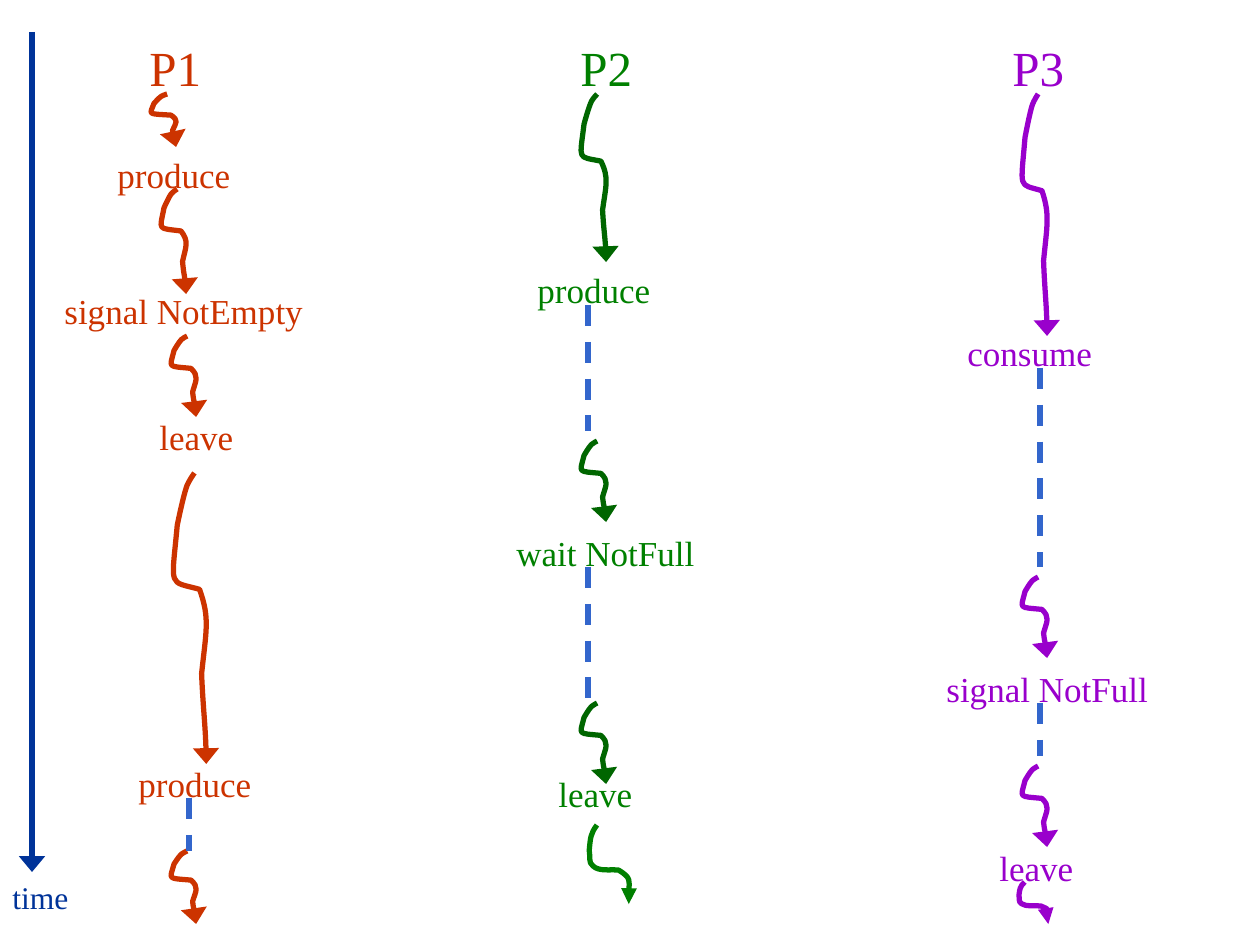
"""Builds a timeline of three processes sharing a monitor."""
from dataclasses import dataclass

from lxml import etree
from pptx import Presentation
from pptx import util as u
from pptx.dml import color
from pptx.enum import dml, shapes, text
from pptx.oxml import ns

SCALE = u.Inches(1) / 126
SQUIGGLE = [(63, 0), (58, 1), (51, 2.5), (45, 4.4), (36, 8), (22, 18), (22, 18), (8, 40), (0, 37),
            (75, 40), (100, 50), (91, 54), (80, 69), (83, 80), (91, 89), (91, 100)]
HOOK = [(21, 0), (6, 11), (6, 16), (3, 32), (6, 38), (0, 48), (12, 52),
        (26, 59), (50, 56), (71, 57), (102, 67), (95, 79), (95, 100)]


@dataclass(frozen=True)
class Theme:
    font: str = "Times New Roman"
    heading: int = 28
    label: int = 20
    axis: int = 18
    stroke: int = 3
    time: str = "003399"
    waiting: str = "3366CC"
    red: str = "CC3300"
    green: str = "008000"
    dark_green: str = "006600"
    purple: str = "9900CC"


THEME = Theme()


def px(value):
    return u.Emu(round(value * SCALE))


def write(frame, words, *, size, tint):
    span = frame.paragraphs[0].add_run()
    span.text = words
    span.font.name = THEME.font
    span.font.size = u.Pt(size)
    span.font.color.rgb = color.RGBColor.from_string(tint)


class Sketch:
    """Draws styled elements on the current slide."""

    def __init__(self, slide):
        self.slide = slide

    def label(self, words, left, top, width, height=55, size=THEME.label, tint=THEME.time):
        box = self.slide.shapes.add_textbox(px(left), px(top), px(width), px(height))
        box.text_frame.word_wrap = False
        box.text_frame.auto_size = text.MSO_AUTO_SIZE.SHAPE_TO_FIT_TEXT
        write(box.text_frame, words, size=size, tint=tint)

    def stroke(self, shape, tint, head=None):
        shape.line.width = u.Pt(THEME.stroke)
        shape.line.color.rgb = color.RGBColor.from_string(tint)
        if head:
            etree.SubElement(shape.line._get_or_add_ln(), ns.qn("a:tailEnd"),
                             type="triangle", w=head, len="med")

    def line(self, x, top, bottom, tint, head=None, dashed=False):
        link = self.slide.shapes.add_connector(
            shapes.MSO_CONNECTOR.STRAIGHT, px(x), px(top), px(x), px(bottom))
        self.stroke(link, tint, head)
        if dashed:
            link.line.dash_style = dml.MSO_LINE.DASH
        etree.SubElement(link._element.spPr, ns.qn("a:effectLst"))

    def curve(self, outline, left, top, width, height, tint, head="lg"):
        points = [(px(left + x * width / 100), px(top + y * height / 100)) for x, y in outline]
        builder = self.slide.shapes.build_freeform(*points[0])
        builder.add_line_segments(points[1:], close=False)
        shape = builder.convert_to_shape()
        route = shape._element.find(".//" + ns.qn("a:path"))
        segments = route.findall(ns.qn("a:lnTo"))
        for start in range(0, len(segments), 3):
            bend = etree.SubElement(route, ns.qn("a:cubicBezTo"))
            for segment in segments[start:start + 3]:
                bend.append(segment[0])
                route.remove(segment)
        shape.fill.background()
        shape.shadow.inherit = False
        self.stroke(shape, tint, head)


PROCESSES = [
    dict(name="P1", left=137, tint=THEME.red, arrow=THEME.red,
         labels=[("produce", 105, 147, 142), ("signal NotEmpty", 52, 283, 268),
                 ("leave", 147, 409, 103), ("produce", 126, 756, 142)],
         squiggles=[(147, 94, 32, 53), (157, 189, 32, 105), (167, 336, 32, 81),
                    (168, 473, 42, 291), (167, 851, 32, 73)],
         wait_x=189, waits=[(798, 851)], hooks=[]),
    dict(name="P2", left=568, tint=THEME.green, arrow=THEME.dark_green,
         labels=[("produce", 525, 262, 142), ("wait NotFull", 504, 525, 208),
                 ("leave", 546, 766, 103)],
         squiggles=[(577, 94, 32, 168), (577, 441, 32, 81), (577, 703, 32, 81)],
         wait_x=588, waits=[(305, 431), (567, 703)], hooks=[(588, 825, 43, 79)]),
    dict(name="P3", left=1000, tint=THEME.purple, arrow=THEME.purple,
         labels=[("consume", 955, 325, 155), ("signal NotFull", 934, 661, 232),
                 ("leave", 987, 840, 103)],
         squiggles=[(1018, 94, 32, 242), (1018, 577, 32, 81), (1018, 766, 32, 81)],
         wait_x=1040, waits=[(368, 567), (703, 756)], hooks=[(1018, 882, 32, 42)]),
]


def main():
    deck = Presentation()
    deck.slide_width, deck.slide_height = px(1260), px(945)
    sketch = Sketch(deck.slides.add_slide(deck.slide_layouts[6]))
    sketch.line(32, 32, 872, THEME.time, head="lg")
    sketch.label("time", 0, 872, 84, 50, size=THEME.axis)
    for process in PROCESSES:
        tint = process["tint"]
        sketch.label(process["name"], process["left"], 31, 80, 72, THEME.heading, tint)
        for words, left, top, width in process["labels"]:
            sketch.label(words, left, top, width, tint=tint)
        for bounds in process["squiggles"]:
            sketch.curve(SQUIGGLE, *bounds, process["arrow"])
        for top, bottom in process["waits"]:
            sketch.line(process["wait_x"], top, bottom, THEME.waiting, dashed=True)
        for bounds in process["hooks"]:
            sketch.curve(HOOK, *bounds, tint, head="med")
    deck.save("out.pptx")


if __name__ == "__main__":
    main()
